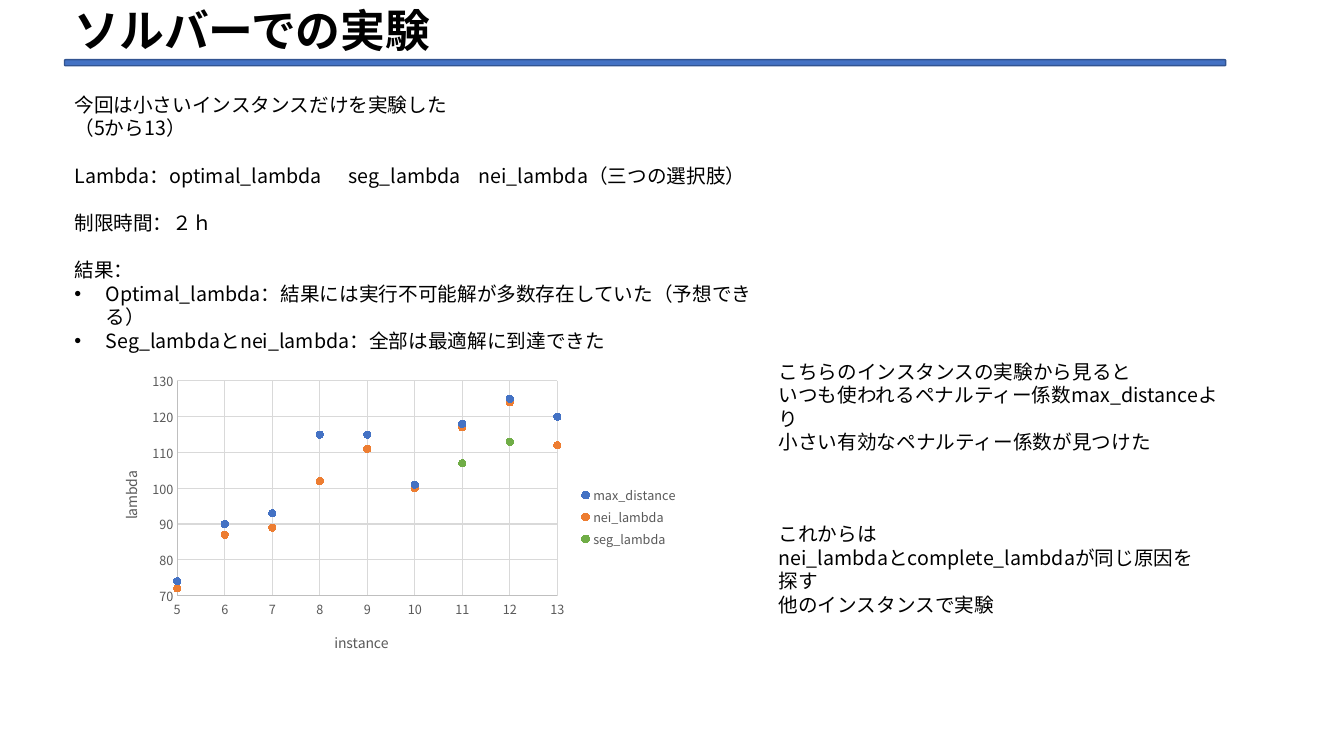
from pptx import Presentation
from pptx import util as u
from pptx.chart import data as chart_data
from pptx.dml import color
from pptx.enum import chart as charts, shapes, text
from pptx.oxml import ns, xmlchemy

WIDTH, HEIGHT = 13.33, 7.5
FONT = "Noto Sans CJK SC"
BLACK, GRAY, BLUE = "000000", "595959", "4472C4"
LEFT, RIGHT = 0.048, 0.572
BODY_SIZE, LINE_GAP = 14, 17

SERIES = [
    ("max_distance", BLUE, [74, 90, 93, 115, 115, 101, 118, 125, 120]),
    ("nei_lambda", "ED7D31", [72, 87, 89, 102, 111, 100, 117, 124, 112]),
    ("seg_lambda", "70AD47", [72, 87, 89, 102, 111, 100, 107, 113, 112]),
]
SETUP = [
    "今回は小さいインスタンスだけを実験した",
    "（5から13）",
    "Lambda：optimal_lambda\tseg_lambda\tnei_lambda（三つの選択肢）",
    "制限時間：２ｈ",
    "結果：",
    "Optimal_lambda：結果には実行不可能解が多数存在していた（予想できる）",
    "Seg_lambdaとnei_lambda：全部は最適解に到達できた",
]
FINDINGS = [
    "こちらのインスタンスの実験から見ると",
    "いつも使われるペナルティー係数max_distanceより",
    "小さい有効なペナルティー係数が見つけた",
]
NEXT_STEPS = [
    "これからは",
    "nei_lambdaとcomplete_lambdaが同じ原因を探す",
    "他のインスタンスで実験",
]


def rgb(value):
    return color.RGBColor.from_string(value)


def area(left, top, width, height):
    return (u.Inches(left * WIDTH), u.Inches(top * HEIGHT),
            u.Inches(width * WIDTH), u.Inches(height * HEIGHT))


def child(parent, tag, **attributes):
    element = xmlchemy.OxmlElement(tag)
    for name, value in attributes.items():
        element.set(name, str(value))
    parent.append(element)
    return element


def style_font(font, size, ink, bold=False):
    font.name, font.size, font.bold = FONT, u.Pt(size), bold
    font.color.rgb = rgb(ink)


def add_text(slide, box, lines, size=BODY_SIZE, bold=False):
    frame = slide.shapes.add_textbox(*area(*box)).text_frame
    frame.word_wrap = True
    for index, line in enumerate(lines):
        paragraph = frame.paragraphs[0] if index == 0 else frame.add_paragraph()
        run = paragraph.add_run()
        run.text = line
        style_font(run.font, size, BLACK, bold)
        child(run.font._element, "a:ea", typeface=FONT)
    return frame


def add_title(slide, title):
    frame = add_text(slide, (LEFT, 0, 0.864, 0.088), [title], 32, True)
    frame.vertical_anchor = text.MSO_ANCHOR.MIDDLE
    frame.paragraphs[0].line_spacing = 0.9
    bar = slide.shapes.add_shape(shapes.MSO_SHAPE.ROUNDED_RECTANGLE,
                                 *area(LEFT, 0.079, 0.864, 0.008))
    bar.shadow.inherit = False
    bar.fill.solid()
    bar.fill.fore_color.rgb = rgb(BLUE)
    bar.line.color.rgb = rgb("325491")
    bar.line.width = u.Pt(1)


def set_bullet(paragraph):
    properties = paragraph._p.get_or_add_pPr()
    indent = u.Inches(0.31)
    properties.set("marL", str(indent))
    properties.set("indent", str(-indent))
    child(properties, "a:buFont", typeface="Arial")
    child(properties, "a:buChar", char="•")


def set_tabs(paragraph, stops):
    tabs = child(paragraph._p.get_or_add_pPr(), "a:tabLst")
    for stop in stops:
        child(tabs, "a:tab", pos=u.Inches(stop), algn="l")


def add_setup(slide):
    frame = add_text(slide, (LEFT, 0.116, 0.54, 0.328), SETUP)
    for paragraph in frame.paragraphs[2:5]:
        paragraph.space_before = u.Pt(LINE_GAP)
    set_tabs(frame.paragraphs[2], (2.72, 4.01))
    for paragraph in frame.paragraphs[5:]:
        set_bullet(paragraph)


def place(parent, **values):
    layout = parent.find(ns.qn("c:layout"))
    if layout is None:
        layout = xmlchemy.OxmlElement("c:layout")
        text_part = parent.find(ns.qn("c:tx"))
        parent.insert(0 if text_part is None else 1, layout)
    for part in list(layout):
        layout.remove(part)
    manual = child(layout, "c:manualLayout")
    if "w" in values:
        child(manual, "c:layoutTarget", val="inner")
    for name in ("x", "y"):
        child(manual, f"c:{name}Mode", val="edge")
    for name, value in values.items():
        child(manual, f"c:{name}", val=value)


def style_axis(axis, title, limits, step, x, y):
    axis.minimum_scale, axis.maximum_scale = limits
    axis.major_unit = step
    axis.major_tick_mark = axis.minor_tick_mark = charts.XL_TICK_MARK.NONE
    axis.has_major_gridlines = True
    for line, ink in ((axis.format.line, "BFBFBF"),
                      (axis.major_gridlines.format.line, "D9D9D9")):
        line.color.rgb = rgb(ink)
        line.width = u.Pt(0.75)
    style_font(axis.tick_labels.font, 9, GRAY)
    run = axis.axis_title.text_frame.paragraphs[0].add_run()
    run.text = title
    style_font(run.font, 10, GRAY)
    place(axis.axis_title._element, x=x, y=y)


def add_lambda_chart(slide):
    points = chart_data.XyChartData()
    for name, _, values in SERIES:
        series = points.add_series(name)
        for instance, value in enumerate(values, start=5):
            series.add_data_point(instance, value)
    chart = slide.shapes.add_chart(charts.XL_CHART_TYPE.XY_SCATTER,
                                   *area(0.07, 0.484, 0.442, 0.4), points).chart
    style_font(chart.font, 10, BLACK)
    chart.has_title = False
    chart.has_legend = True
    chart.legend.position = charts.XL_LEGEND_POSITION.RIGHT
    chart.legend.include_in_layout = False
    style_font(chart.legend.font, 9, GRAY)
    plot = chart.plots[0]
    plot.vary_by_categories = False
    for series, (_, ink, _) in zip(plot.series, SERIES):
        series.format.line.fill.background()
        series.marker.style = charts.XL_MARKER_STYLE.CIRCLE
        series.marker.size = 5
        series.marker.format.fill.solid()
        series.marker.format.fill.fore_color.rgb = rgb(ink)
        series.marker.format.line.color.rgb = rgb(ink)
    style_axis(chart.category_axis, "instance", (5, 13), 1, 0.4, 0.87)
    style_axis(chart.value_axis, "lambda", (70, 130), 10, 0.04, 0.34)
    plot_area = chart._chartSpace.find(".//" + ns.qn("c:plotArea"))
    place(plot_area, x=0.14, y=0.05, w=0.64, h=0.71)


def main():
    presentation = Presentation()
    presentation.slide_width = u.Inches(WIDTH)
    presentation.slide_height = u.Inches(HEIGHT)
    slide = presentation.slides.add_slide(presentation.slide_layouts[6])
    add_title(slide, "ソルバーでの実験")
    add_setup(slide)
    add_lambda_chart(slide)
    add_text(slide, (RIGHT, 0.469, 0.35, 0.108), FINDINGS)
    add_text(slide, (RIGHT, 0.684, 0.332, 0.108), NEXT_STEPS)
    presentation.save("out.pptx")


if __name__ == "__main__":
    main()
